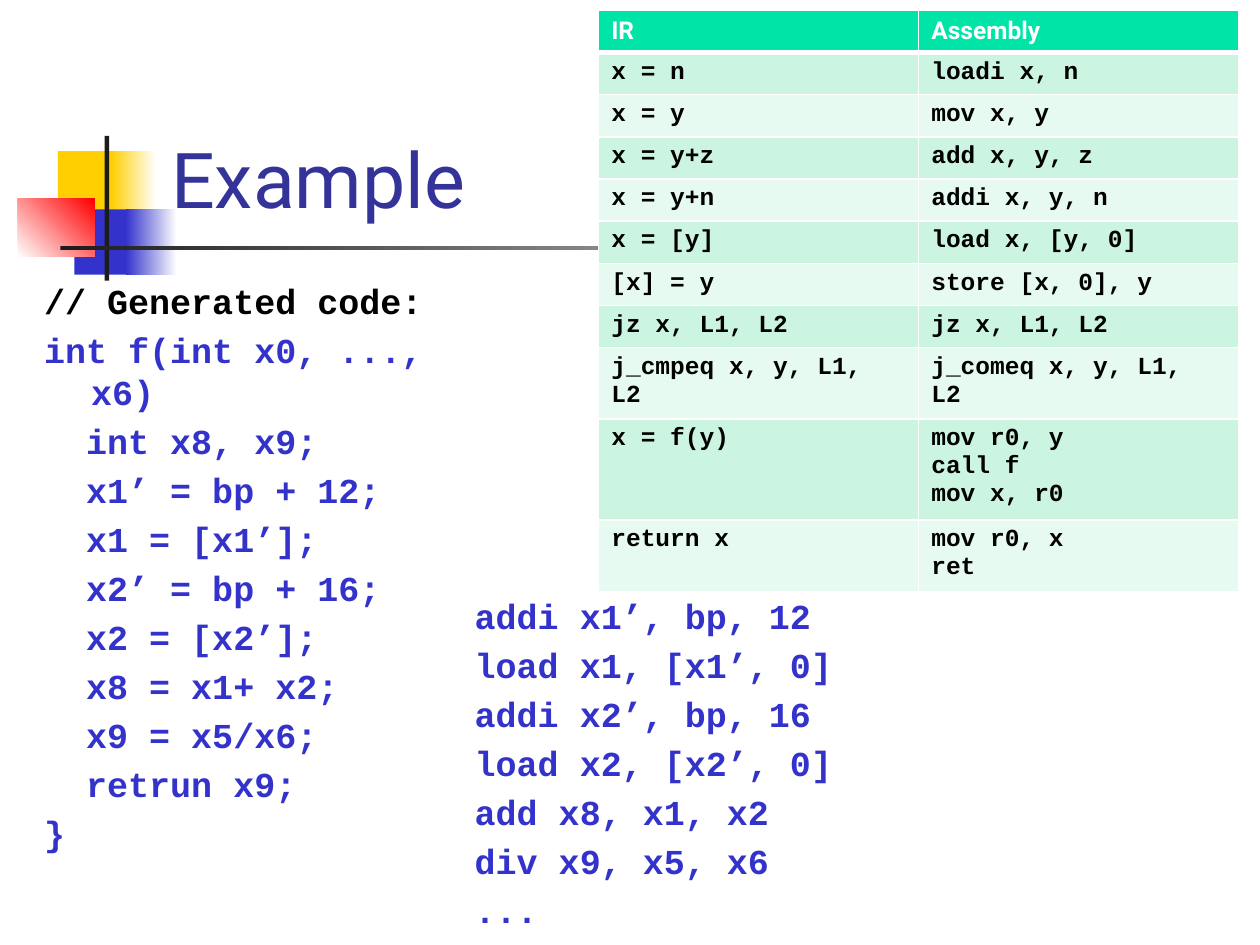
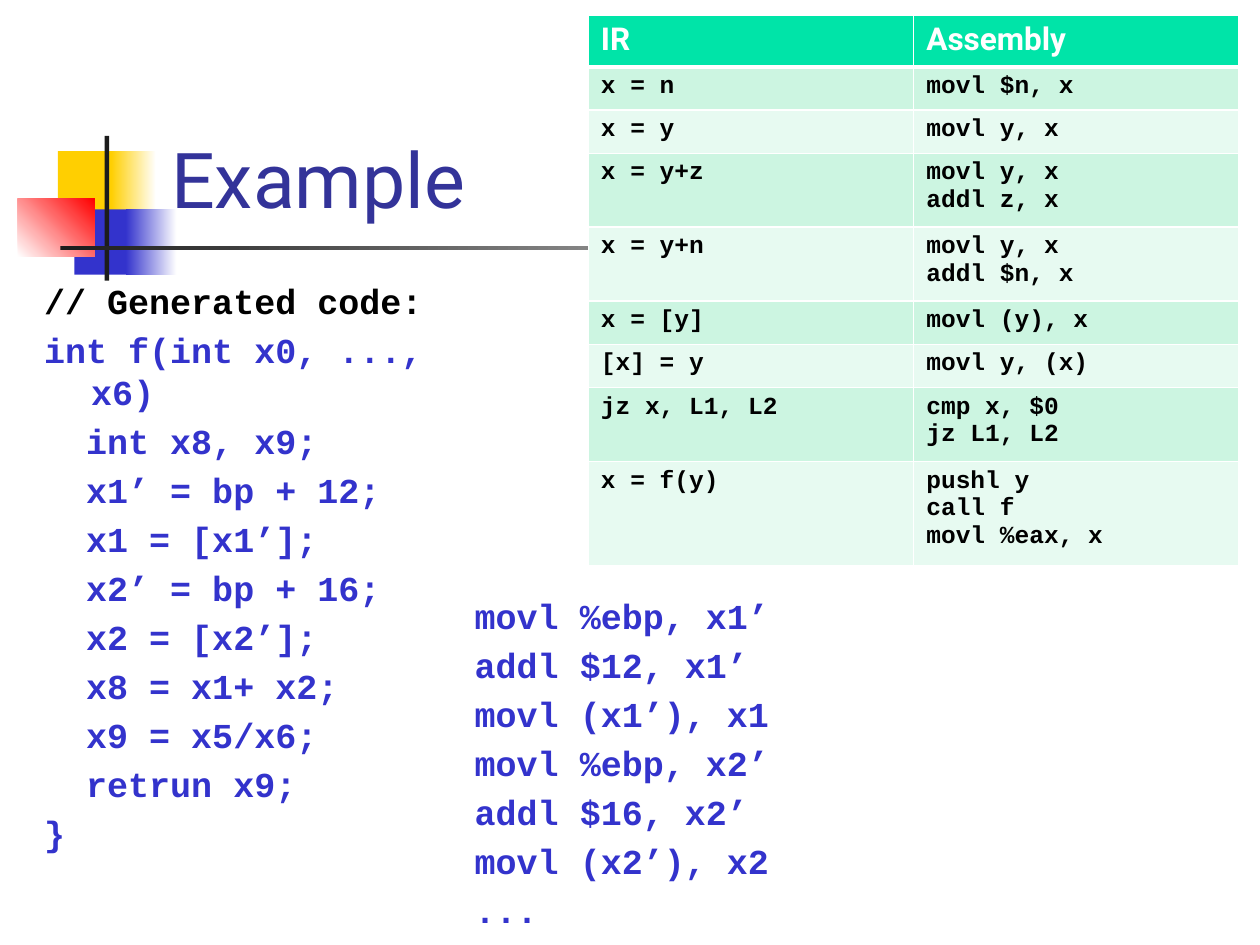
from dataclasses import dataclass

from lxml import etree
from pptx import Presentation
from pptx.dml.color import RGBColor
from pptx.enum.shapes import MSO_SHAPE
from pptx.enum.text import MSO_ANCHOR
from pptx.oxml.ns import qn
from pptx.util import Cm, Pt

RECT = MSO_SHAPE.RECTANGLE
BOTTOM = MSO_ANCHOR.BOTTOM

# Shared look
SANS, MONO = "Roboto", "Courier New"
WHITE, BLACK, INK = "FFFFFF", "000000", "1C1C1C"
YELLOW, BLUE, RED, NAVY = "FFCF01", "3333CC", "FF0000", "333399"
HEADER_FILL = "00E4A8"
BAND_FILLS = ("CCF5E1", "E7FAF1")


@dataclass(frozen=True)
class Block:
    """A decorative rectangle, lengths in cm; a fade runs from start to end."""
    left: float
    top: float
    width: float
    height: float
    start: str
    end: str = ""
    angle: int = 0


@dataclass(frozen=True)
class Row:
    """One translation rule; several assembly lines are split by newlines."""
    ir: str
    assembly: str
    height: float


@dataclass(frozen=True)
class RuleTable:
    left: float
    top: float
    column_width: float
    header_height: float
    header_size: int
    rows: tuple[Row, ...]


@dataclass(frozen=True)
class Example:
    table: RuleTable
    assembly: tuple[str, ...]


BLOCKS = (
    Block(1.17, 3.05, 1.22, 1.32, YELLOW),
    Block(2.24, 3.05, 0.91, 1.32, YELLOW, WHITE),
    Block(1.5, 4.22, 1.17, 1.32, BLUE),
    Block(2.54, 4.22, 1.02, 1.32, BLUE, WHITE),
    Block(0.36, 4.01, 1.55, 1.17, WHITE, RED, 45),
    Block(2.11, 2.74, 0.09, 2.92, INK),
    Block(1.22, 4.95, 22.86, 0.09, INK, WHITE),
)

GENERATED_CODE = (
    "// Generated code:",
    "int f(int x0, ..., x6)",
    "  int x8, x9;",
    "  x1’ = bp + 12;",
    "  x1 = [x1’];",
    "  x2’ = bp + 16;",
    "  x2 = [x2’];",
    "  x8 = x1+ x2;",
    "  x9 = x5/x6;",
    "  retrun x9;",
    "}",
)

EXAMPLES = (
    Example(
        RuleTable(12.07, 0.21, 6.45, 0.85, 14, (
            Row("x = n", "loadi x, n", 0.85),
            Row("x = y", "mov x, y", 0.85),
            Row("x = y+z", "add x, y, z", 0.85),
            Row("x = y+n", "addi x, y, n", 0.85),
            Row("x = [y]", "load x, [y, 0]", 0.85),
            Row("[x] = y", "store [x, 0], y", 0.85),
            Row("jz x, L1, L2", "jz x, L1, L2", 0.85),
            Row("j_cmpeq x, y, L1, L2", "j_comeq x, y, L1, L2", 1.37),
            Row("x = f(y)", "mov r0, y\ncall f\nmov x, r0", 2.03),
            Row("return x", "mov r0, x\nret", 1.45),
        )),
        ("addi x1’, bp, 12", "load x1, [x1’, 0]", "addi x2’, bp, 16",
         "load x2, [x2’, 0]", "add x8, x1, x2", "div x9, x5, x6", "..."),
    ),
    Example(
        RuleTable(11.86, 0.31, 6.56, 1.04, 18, (
            Row("x = n", "movl $n, x", 0.87),
            Row("x = y", "movl y, x", 0.87),
            Row("x = y+z", "movl y, x\naddl z, x", 1.49),
            Row("x = y+n", "movl y, x\naddl $n, x", 1.49),
            Row("x = [y]", "movl (y), x", 0.87),
            Row("[x] = y", "movl y, (x)", 0.87),
            Row("jz x, L1, L2", "cmp x, $0\njz L1, L2", 1.49),
            Row("x = f(y)", "pushl y\ncall f\nmovl %eax, x", 2.11),
        )),
        ("movl %ebp, x1’", "addl $12, x1’", "movl (x1’), x1",
         "movl %ebp, x2’", "addl $16, x2’", "movl (x2’), x2", "..."),
    ),
)


def rgb(color: str) -> RGBColor:
    return RGBColor.from_string(color)


def add_run(p, text: str, font: str, size: int, color: str, bold: bool = True) -> None:
    r = p.add_run()
    r.text = text
    r.font.name = font
    r.font.size = Pt(size)
    r.font.bold = bold
    r.font.color.rgb = rgb(color)


def add_paragraph(tf, index: int):
    return tf.add_paragraph() if index else tf.paragraphs[0]


def add_text_frame(s, left: float, top: float, width: float, height: float):
    box = s.shapes.add_textbox(Cm(left), Cm(top), Cm(width), Cm(height))
    tf = box.text_frame
    tf.word_wrap = True
    return tf


def draw_block(s, block: Block) -> None:
    sp = s.shapes.add_shape(RECT, Cm(block.left), Cm(block.top),
                            Cm(block.width), Cm(block.height))
    sp.shadow.inherit = False
    sp.line.fill.background()
    if not block.end:
        sp.fill.solid()
        sp.fill.fore_color.rgb = rgb(block.start)
        return
    sp.fill.gradient()
    sp.fill.gradient_angle = block.angle
    for stop, color in zip(sp.fill.gradient_stops, (block.start, block.end)):
        stop.color.rgb = rgb(color)


def draw_title(s, text: str) -> None:
    tf = add_text_frame(s, 3.2, 0.58, 21.64, 4.06)
    tf.vertical_anchor = BOTTOM
    add_run(tf.paragraphs[0], text, SANS, 44, NAVY, bold=False)


def draw_code(s, left: float, top: float, height: float, lines: tuple[str, ...]) -> None:
    tf = add_text_frame(s, left, top, 9.73, height)
    for i, line in enumerate(lines):
        p = add_paragraph(tf, i)
        p.line_spacing = Pt(24)
        if i:
            p.space_before = Pt(4)
        # Hanging indent for wrapped lines
        pPr = p._p.get_or_add_pPr()
        pPr.set("marL", str(Cm(0.95)))
        pPr.set("indent", str(-Cm(0.95)))
        add_run(p, line, MONO, 20, BLACK if line.startswith("//") else BLUE)


def set_borders(cell, top: int, bottom: int) -> None:
    tcPr = cell._tc.get_or_add_tcPr()
    for side, width in (("L", 1), ("R", 1), ("T", top), ("B", bottom)):
        ln = etree.SubElement(tcPr, qn(f"a:ln{side}"), w=str(Pt(width)))
        fill = etree.SubElement(ln, qn("a:solidFill"))
        etree.SubElement(fill, qn("a:srgbClr"), val=WHITE)


def draw_table(s, spec_table: RuleTable) -> None:
    rows = (Row("IR", "Assembly", spec_table.header_height), *spec_table.rows)
    frame = s.shapes.add_table(
        len(rows), 2, Cm(spec_table.left), Cm(spec_table.top),
        Cm(2 * spec_table.column_width), Cm(sum(row.height for row in rows)))
    table = frame.table
    for column in table.columns:
        column.width = Cm(spec_table.column_width)
    for i, row in enumerate(rows):
        table.rows[i].height = Cm(row.height)
        if i == 0:
            style, fill = (SANS, spec_table.header_size, WHITE), HEADER_FILL
        else:
            style, fill = (MONO, 14, BLACK), BAND_FILLS[(i - 1) % 2]
        for j, text in enumerate((row.ir, row.assembly)):
            cell = table.cell(i, j)
            # The rule under the header is thicker
            set_borders(cell, top=3 if i == 1 else 1, bottom=3 if i == 0 else 1)
            cell.fill.solid()
            cell.fill.fore_color.rgb = rgb(fill)
            for k, line in enumerate(text.split("\n")):
                add_run(add_paragraph(cell.text_frame, k), line, *style)


def draw_example(prs, example: Example) -> None:
    s = prs.slides.add_slide(prs.slide_layouts[6])
    for block in BLOCKS:
        draw_block(s, block)
    draw_title(s, "Example")
    draw_code(s, 0.64, 5.51, 11.43, GENERATED_CODE)
    draw_table(s, example.table)
    draw_code(s, 9.32, 11.86, 3.81, example.assembly)


def main() -> None:
    prs = Presentation()
    prs.slide_width, prs.slide_height = Cm(25.4), Cm(19.05)
    for example in EXAMPLES:
        draw_example(prs, example)
    prs.save("out.pptx")


if __name__ == "__main__":
    main()
